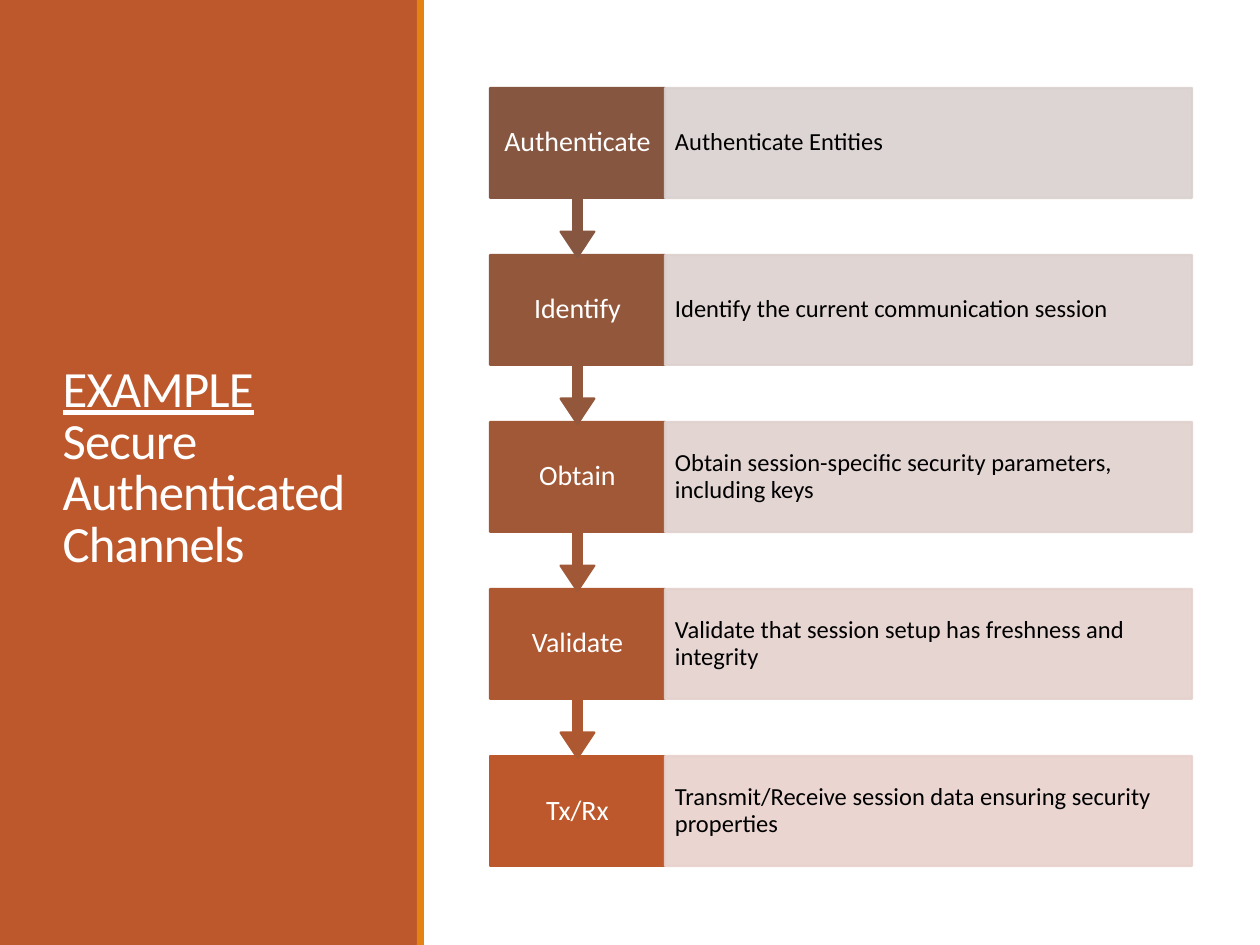
from dataclasses import dataclass

from pptx import Presentation
from pptx.dml.color import RGBColor
from pptx.enum.shapes import MSO_SHAPE
from pptx.enum.text import MSO_ANCHOR, MSO_AUTO_SIZE, PP_ALIGN
from pptx.oxml.ns import qn
from pptx.shapes.autoshape import Shape
from pptx.util import Emu, Pt
from lxml.etree import SubElement

SCALE = 914400 / 126
LEFT, TOP, PITCH = 490, 88, 167
LABEL_W, NOTE_W, BOX_H, CALL_H = 175, 527, 110, 169
ARROW = (0.05, 0.1, 0.15, 0.65)


@dataclass
class Step:
    label: str
    note: str
    dark: str
    pale: str


STEPS = [
    Step("Authenticate", "Authenticate Entities", "865640", "D9D1CF"),
    Step("Identify", "Identify the current communication session", "93573C", "DDD1CE"),
    Step("Obtain", "Obtain session-specific security parameters, including keys",
         "A05837", "E1D1CE"),
    Step("Validate", "Validate that session setup has freshness and integrity",
         "AE5832", "E4D1CD"),
    Step("Tx/Rx", "Transmit/Receive session data ensuring security properties",
         "BD582C", "E8D1CD"),
]


def px(count: int) -> Emu:
    return Emu(round(count * SCALE))


def color(code: str) -> RGBColor:
    return RGBColor.from_string(code)


def fade(shape: Shape, percent: int) -> None:
    """Set the opacity of the fill and the line."""
    for tint in shape.element.spPr.iter(qn("a:srgbClr")):
        SubElement(tint, qn("a:alpha")).set("val", str(percent * 1000))


def block(shapes, kind: MSO_SHAPE, place: tuple[int, int, int, int],
          fill: str, edge: bool = False) -> Shape:
    shape = shapes.add_shape(kind, *map(px, place))
    shape.shadow.inherit = False
    shape.fill.solid()
    shape.fill.fore_color.rgb = color(fill)
    if edge:
        shape.line.color.rgb = color(fill)
        shape.line.width = Pt(1.25)
    else:
        shape.line.fill.background()
    return shape


def write(shape: Shape, text: str, size: int, tint: str,
          align: PP_ALIGN, inset: tuple[int, int]) -> None:
    side, edge = map(px, inset)
    frame = shape.text_frame
    form = {"word_wrap": True, "vertical_anchor": MSO_ANCHOR.MIDDLE,
            "margin_left": side, "margin_right": side,
            "margin_top": edge, "margin_bottom": edge}
    for name, value in form.items():
        setattr(frame, name, value)
    para = frame.paragraphs[0]
    para.alignment = align
    para.line_spacing = 0.9
    run = para.add_run()
    run.text = text
    style(run, size, tint)


def style(run, size: int, tint: str, under: bool = False) -> None:
    for name, value in {"name": "Calibri", "size": Pt(size), "underline": under}.items():
        setattr(run.font, name, value)
    run.font.color.rgb = color(tint)


def heading(title) -> None:
    place = {"left": px(50), "top": px(72), "width": px(319), "height": px(795)}
    for name, value in place.items():
        setattr(title, name, value)
    frame = title.text_frame
    frame.word_wrap = True
    frame.auto_size = MSO_AUTO_SIZE.NONE
    frame.vertical_anchor = MSO_ANCHOR.MIDDLE
    para = frame.paragraphs[0]
    para.alignment = PP_ALIGN.LEFT
    para.line_spacing = 0.85
    first = para.add_run()
    first.text = "EXAMPLE"
    para.add_line_break()
    rest = para.add_run()
    rest.text = "Secure Authenticated Channels"
    for run, under in ((first, True), (rest, False)):
        style(run, 29, "FFFFFF", under)
        run.font._element.set("spc", "-50")


def draw(shapes, step: Step, top: int, last: bool) -> None:
    """Draw a label, with an arrow down unless it is the last, and its note."""
    kind = MSO_SHAPE.RECTANGLE if last else MSO_SHAPE.DOWN_ARROW_CALLOUT
    high = BOX_H if last else CALL_H
    label = block(shapes, kind, (LEFT, top, LABEL_W, high), step.dark, True)
    if not last:
        for spot, value in enumerate(ARROW):
            label.adjustments[spot] = value
    write(label, step.label, 16, "FFFFFF", PP_ALIGN.CENTER, (12, 15))
    note = block(shapes, MSO_SHAPE.RECTANGLE,
                 (LEFT + LABEL_W, top, NOTE_W, BOX_H), step.pale, True)
    fade(note, 90)
    write(note, step.note, 14, "000000", PP_ALIGN.LEFT, (10, 24))


def main() -> None:
    deck = Presentation()
    deck.slide_width, deck.slide_height = px(1260), px(945)
    shapes = deck.slides.add_slide(deck.slide_layouts[5]).shapes
    panel = block(shapes, MSO_SHAPE.RECTANGLE, (0, 0, 418, 945), "BD582C")
    shapes.title.element.addprevious(panel.element)
    heading(shapes.title)
    block(shapes, MSO_SHAPE.RECTANGLE, (417, 0, 7, 945), "E48312")
    # From the bottom up, so that each arrow tip lies over the next box.
    for row, step in reversed(list(enumerate(STEPS))):
        draw(shapes, step, TOP + row * PITCH, row == len(STEPS) - 1)
    deck.save("out.pptx")


if __name__ == "__main__":
    main()
